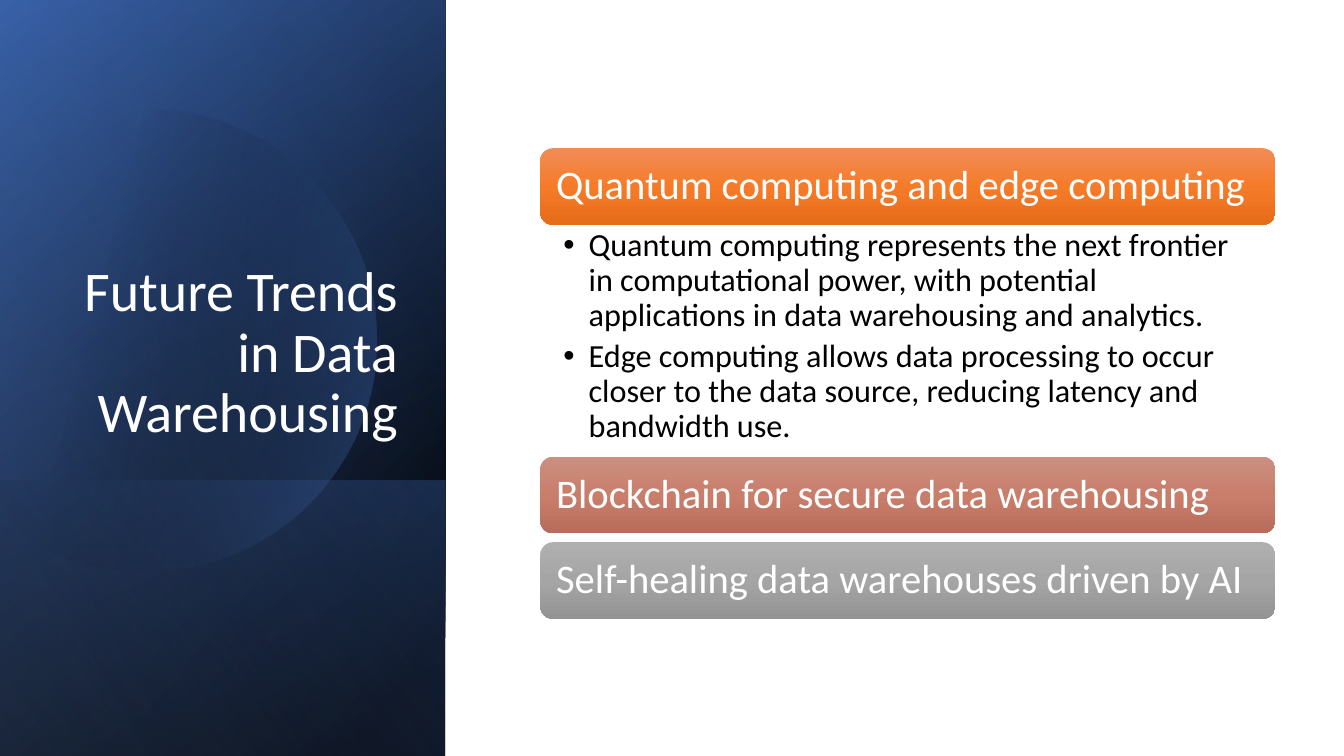
from dataclasses import dataclass
from math import acos, cos, sin

from lxml.etree import SubElement
from pptx import Presentation
from pptx.dml.color import RGBColor
from pptx.enum.shapes import MSO_SHAPE
from pptx.enum.text import MSO_ANCHOR, PP_ALIGN
from pptx.oxml.ns import qn
from pptx.util import Inches, Pt

W, H = 13.33, 7.5


@dataclass(frozen=True)
class Theme:
    font: str = "Calibri"
    title_size: int = 40
    bar_size: int = 29
    detail_size: int = 23
    light: str = "FFFFFF"
    dark: str = "000000"
    navy: str = "2F5597"
    blue: str = "4472C4"
    pale: str = "8FAADC"
    orange: tuple = ("F18C57", "F67B28", "E56C19")
    clay: tuple = ("CB8F81", "C97E6B", "B76D5B")
    gray: tuple = ("AFAFAF", "A5A5A5", "939393")


T = Theme()

TITLE = "Future Trends in Data Warehousing"
TRENDS = [
    ("Quantum computing and edge computing", T.orange, [
        "Quantum computing represents the next frontier in computational power, "
        "with potential applications in data warehousing and analytics.",
        "Edge computing allows data processing to occur closer to the data source, "
        "reducing latency and bandwidth use.",
    ]),
    ("Blockchain for secure data warehousing", T.clay, []),
    ("Self-healing data warehouses driven by AI", T.gray, []),
]


def fill_gradient(sp, stops, angle):
    """Fill with (position %, colour, opacity %) stops, without line or shadow."""
    sp.shadow.inherit = False
    sp.line.fill.background()
    sp.fill.gradient()
    grad = sp._element.spPr.find(qn("a:gradFill"))
    for child in list(grad):
        grad.remove(child)
    grad.set("rotWithShape", "1")
    gs_list = SubElement(grad, qn("a:gsLst"))
    for pos, color, opacity in stops:
        gs = SubElement(gs_list, qn("a:gs"), pos=str(pos * 1000))
        clr = SubElement(gs, qn("a:srgbClr"), val=color)
        if opacity < 100:
            SubElement(clr, qn("a:alpha"), val=str(opacity * 1000))
    SubElement(grad, qn("a:lin"), ang=str(angle * 60000), scaled="0")


def style_paragraph(p, size, color):
    p.line_spacing = 0.9
    for r in p.runs:
        r.font.name = T.font
        r.font.size = Pt(size)
        r.font.color.rgb = RGBColor.from_string(color)


def set_frame(tf, anchor, inset_x, inset_y):
    tf.word_wrap = True
    tf.vertical_anchor = anchor
    tf.margin_left = tf.margin_right = Inches(inset_x)
    tf.margin_top = tf.margin_bottom = Inches(inset_y)


def add_layer(s, x, y, w, h, stops, angle):
    """Rectangle turned a quarter and mirrored, covering the given box."""
    left, top = x + (w - h) / 2, y + (h - w) / 2
    sp = s.shapes.add_shape(MSO_SHAPE.RECTANGLE, Inches(left), Inches(top),
                            Inches(h), Inches(w))
    sp.rotation = 90
    sp._element.spPr.xfrm.set("flipH", "1")
    fill_gradient(sp, stops, angle)


def add_disc(s, x, cx, cy, radius):
    """Circle cut off by the vertical line at x."""
    end, steps = acos((x - cx) / radius), 120
    angles = [end * (2 * i / steps - 1) for i in range(steps + 1)]
    points = [(Inches(cx + radius * cos(a)), Inches(cy + radius * sin(a)))
              for a in angles]
    fb = s.shapes.build_freeform(*points[0])
    fb.add_line_segments(points[1:], close=True)
    fill_gradient(fb.convert_to_shape(),
                  [(29, T.dark, 0), (100, T.blue, 43)], 14)


def add_title_panel(s, x, y, w, h):
    # Shaded background
    add_layer(s, x, y, w, h, [(8, T.dark, 100), (100, T.navy, 100)], 50)
    add_layer(s, x, y, w, h, [(0, T.dark, 0), (99, T.blue, 46)], 30)
    band = 0.365 * h
    add_layer(s, x, y + h - band, w, band,
              [(2, T.blue, 29), (100, T.dark, 30)], 130)
    add_disc(s, x, x + 0.325 * w, y + 0.45 * h, 0.52 * w)
    add_layer(s, x, y, w, h, [(0, T.dark, 0), (99, T.pale, 11)], 120)

    # Title
    tb = s.shapes.add_textbox(Inches(x + 0.145 * w), Inches(y + 0.245 * h),
                              Inches(0.77 * w), Inches(0.35 * h))
    tf = tb.text_frame
    tf.text = TITLE
    set_frame(tf, MSO_ANCHOR.BOTTOM, 0.1, 0.05)
    p = tf.paragraphs[0]
    p.alignment = PP_ALIGN.RIGHT
    style_paragraph(p, T.title_size, T.light)


def add_bar(s, x, y, w, h, text, colors):
    sp = s.shapes.add_shape(MSO_SHAPE.ROUNDED_RECTANGLE, Inches(x), Inches(y),
                            Inches(w), Inches(h))
    fill_gradient(sp, [(i * 50, c, 100) for i, c in enumerate(colors)], 90)
    tf = sp.text_frame
    tf.text = text
    set_frame(tf, MSO_ANCHOR.MIDDLE, 0.12, 0.12)
    p = tf.paragraphs[0]
    p.alignment = PP_ALIGN.LEFT
    style_paragraph(p, T.bar_size, T.light)


def add_details(s, x, y, w, h, lines):
    tb = s.shapes.add_textbox(Inches(x), Inches(y), Inches(w), Inches(h))
    tf = tb.text_frame
    tf.text = "\n".join(lines)
    set_frame(tf, MSO_ANCHOR.TOP, 0.23, 0.04)
    for p in tf.paragraphs:
        style_paragraph(p, T.detail_size, T.dark)
        p.space_after = Pt(5)
        pPr = p._p.get_or_add_pPr()
        pPr.set("marL", str(Inches(0.25)))
        pPr.set("indent", str(-Inches(0.25)))
        SubElement(pPr, qn("a:buFont"), typeface="Arial")
        SubElement(pPr, qn("a:buChar"), char="•")


def add_trend_list(s, x, y, w, h):
    bar, details, gap = 0.163 * h, 0.493 * h, 0.019 * h
    for text, colors, lines in TRENDS:
        add_bar(s, x, y, w, bar, text, colors)
        y += bar
        if lines:
            add_details(s, x, y, w, details, lines)
        y += details if lines else gap


def main():
    prs = Presentation()
    prs.slide_width, prs.slide_height = Inches(W), Inches(H)
    s = prs.slides.add_slide(prs.slide_layouts[6])
    add_title_panel(s, 0, 0, 0.3315 * W, H)
    add_trend_list(s, 0.402 * W, 0.196 * H, 0.547 * W, 0.622 * H)
    prs.save("out.pptx")


if __name__ == "__main__":
    main()
